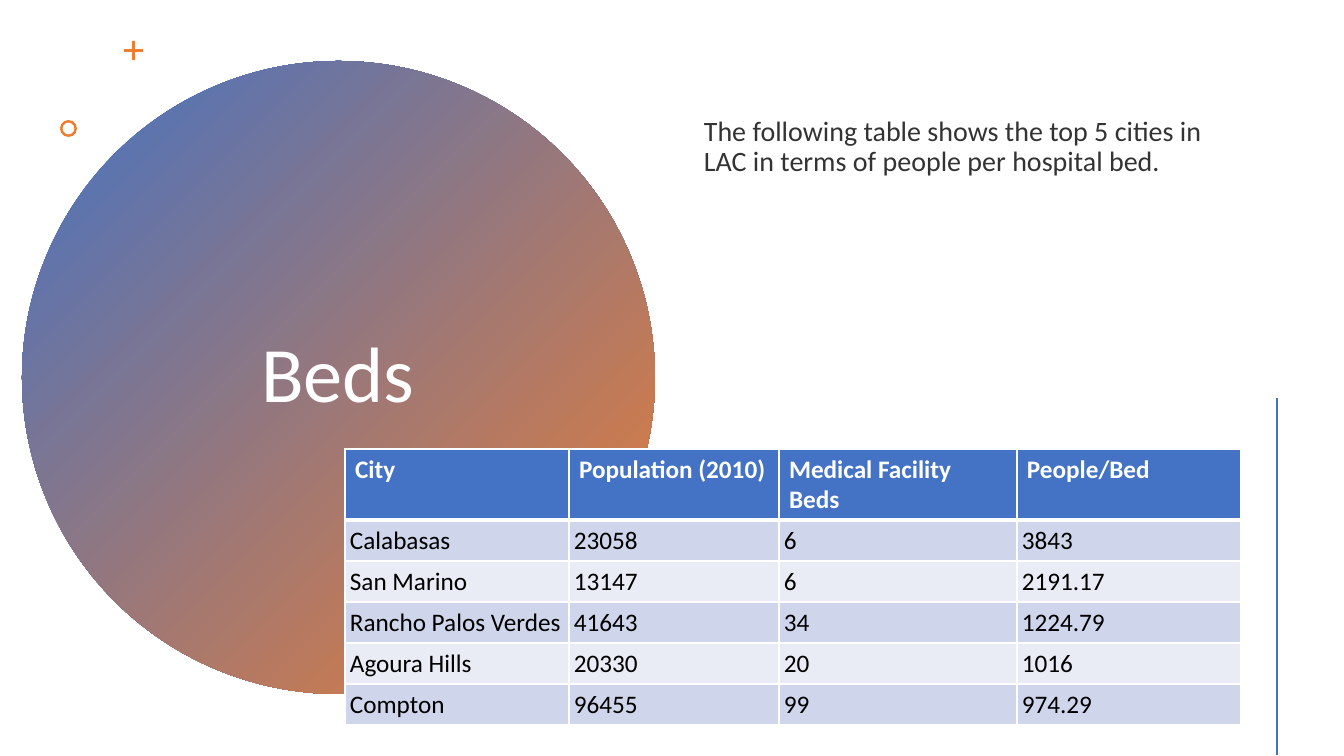
from lxml import etree
from pptx import Presentation
from pptx.dml.color import RGBColor
from pptx.enum.shapes import MSO_CONNECTOR, MSO_SHAPE
from pptx.enum.text import MSO_ANCHOR, PP_ALIGN
from pptx.oxml import parse_xml
from pptx.oxml.ns import nsdecls, qn
from pptx.util import Emu, Pt

ELLIPSE, CROSS, DONUT = MSO_SHAPE.OVAL, MSO_SHAPE.CROSS, MSO_SHAPE.DONUT
STRAIGHT = MSO_CONNECTOR.STRAIGHT
TOP, MIDDLE = MSO_ANCHOR.TOP, MSO_ANCHOR.MIDDLE
LEFT, CENTER = PP_ALIGN.LEFT, PP_ALIGN.CENTER

BLUE = RGBColor(0x44, 0x72, 0xC4)
ORANGE = RGBColor(0xED, 0x7D, 0x31)
WHITE = RGBColor(0xFF, 0xFF, 0xFF)
BLACK = RGBColor(0x00, 0x00, 0x00)
DARK_GREY = RGBColor(0x33, 0x33, 0x33)
BANDS = (RGBColor(0xCF, 0xD5, 0xEA), RGBColor(0xE9, 0xEB, 0xF5))

FONT = "Calibri"
SLIDE_WIDTH, SLIDE_HEIGHT = 1344, 756
COLUMN_WIDTHS = (224, 210, 238, 224)
HEADER_HEIGHT, ROW_HEIGHT = 71, 41
BEDS_BY_CITY = (
    ("City", "Population (2010)", "Medical Facility Beds", "People/Bed"),
    ("Calabasas", "23058", "6", "3843"),
    ("San Marino", "13147", "6", "2191.17"),
    ("Rancho Palos Verdes", "41643", "34", "1224.79"),
    ("Agoura Hills", "20330", "20", "1016"),
    ("Compton", "96455", "99", "974.29"),
)


def px(length):
    return Emu(round(length * 914400 / 100.8))


def style_run(run, size, color, bold=False):
    run.font.name = FONT
    run.font.size = Pt(size)
    run.font.bold = bold
    run.font.color.rgb = color


def add_plain_shape(slide, preset, left, top, size):
    shape = slide.shapes.add_shape(preset, px(left), px(top), px(size), px(size))
    shape.shadow.inherit = False
    shape.line.fill.background()
    return shape


def add_gradient_circle(slide, left, top, size):
    circle = add_plain_shape(slide, ELLIPSE, left, top, size)
    circle.fill.gradient()
    circle.fill.gradient_angle = 315
    for stop, color in zip(circle.fill.gradient_stops, (BLUE, ORANGE)):
        stop.color.rgb = color


def add_accent(slide, preset, left, top, size, adjustment):
    accent = add_plain_shape(slide, preset, left, top, size)
    accent.adjustments[0] = adjustment
    accent.fill.solid()
    accent.fill.fore_color.rgb = ORANGE


def add_text(slide, text, box, size, color, alignment):
    frame = slide.shapes.add_textbox(*map(px, box)).text_frame
    frame.word_wrap = True
    frame.vertical_anchor = MIDDLE
    frame.text = text
    paragraph = frame.paragraphs[0]
    paragraph.alignment = alignment
    paragraph.line_spacing = 0.9
    style_run(paragraph.runs[0], size, color)


def add_side_rule(slide, x, top, bottom):
    rule = slide.shapes.add_connector(STRAIGHT, px(x), px(top), px(x), px(bottom))
    rule.line.color.rgb = BLUE
    rule.line.width = Pt(2)
    etree.SubElement(rule._element.spPr, qn("a:effectLst"))


def set_borders(cell, top, bottom):
    widths = {"lnL": 1, "lnR": 1, "lnT": top, "lnB": bottom}
    for position, (side, width) in enumerate(widths.items()):
        border = parse_xml(
            f'<a:{side} {nsdecls("a")} w="{Pt(width)}"><a:solidFill>'
            f'<a:srgbClr val="{WHITE}"/></a:solidFill></a:{side}>'
        )
        cell._tc.get_or_add_tcPr().insert(position, border)


def style_cell(cell, text, row):
    header = row == 0
    cell.text = text
    style_run(cell.text_frame.paragraphs[0].runs[0], 18,
              WHITE if header else BLACK, bold=header)
    cell.vertical_anchor = TOP if header else MIDDLE
    if not header:
        cell.margin_left = cell.margin_right = px(5)
        cell.margin_top = cell.margin_bottom = px(3)
    cell.fill.solid()
    cell.fill.fore_color.rgb = BLUE if header else BANDS[(row - 1) % 2]
    set_borders(cell, top=3 if row == 1 else 1, bottom=3 if header else 1)


def add_beds_table(slide, left, top):
    heights = [HEADER_HEIGHT] + [ROW_HEIGHT] * (len(BEDS_BY_CITY) - 1)
    table = slide.shapes.add_table(
        len(heights), len(COLUMN_WIDTHS), px(left), px(top),
        px(sum(COLUMN_WIDTHS)), px(sum(heights))).table
    for column, width in zip(table.columns, COLUMN_WIDTHS):
        column.width = px(width)
    for row, (height, entries) in enumerate(zip(heights, BEDS_BY_CITY)):
        table.rows[row].height = px(height)
        for column, text in enumerate(entries):
            style_cell(table.cell(row, column), text, row)


def main():
    presentation = Presentation()
    presentation.slide_width = px(SLIDE_WIDTH)
    presentation.slide_height = px(SLIDE_HEIGHT)
    slide = presentation.slides.add_slide(presentation.slide_layouts[6])

    # Title circle with its accents
    add_gradient_circle(slide, 22, 61, 633)
    add_text(slide, "Beds", (137, 142, 402, 471), 56, WHITE, CENTER)
    add_accent(slide, CROSS, 124, 41, 19, 0.43)
    add_accent(slide, DONUT, 60, 120, 17, 0.15)

    # Introduction and side rule
    add_text(slide, "The following table shows the top 5 cities in LAC "
             "in terms of people per hospital bed.",
             (694, 57, 526, 181), 20, DARK_GREY, LEFT)
    add_side_rule(slide, 1277, 398, 755)

    # Hospital beds by city
    add_beds_table(slide, 345, 449)

    presentation.save("out.pptx")


if __name__ == "__main__":
    main()
